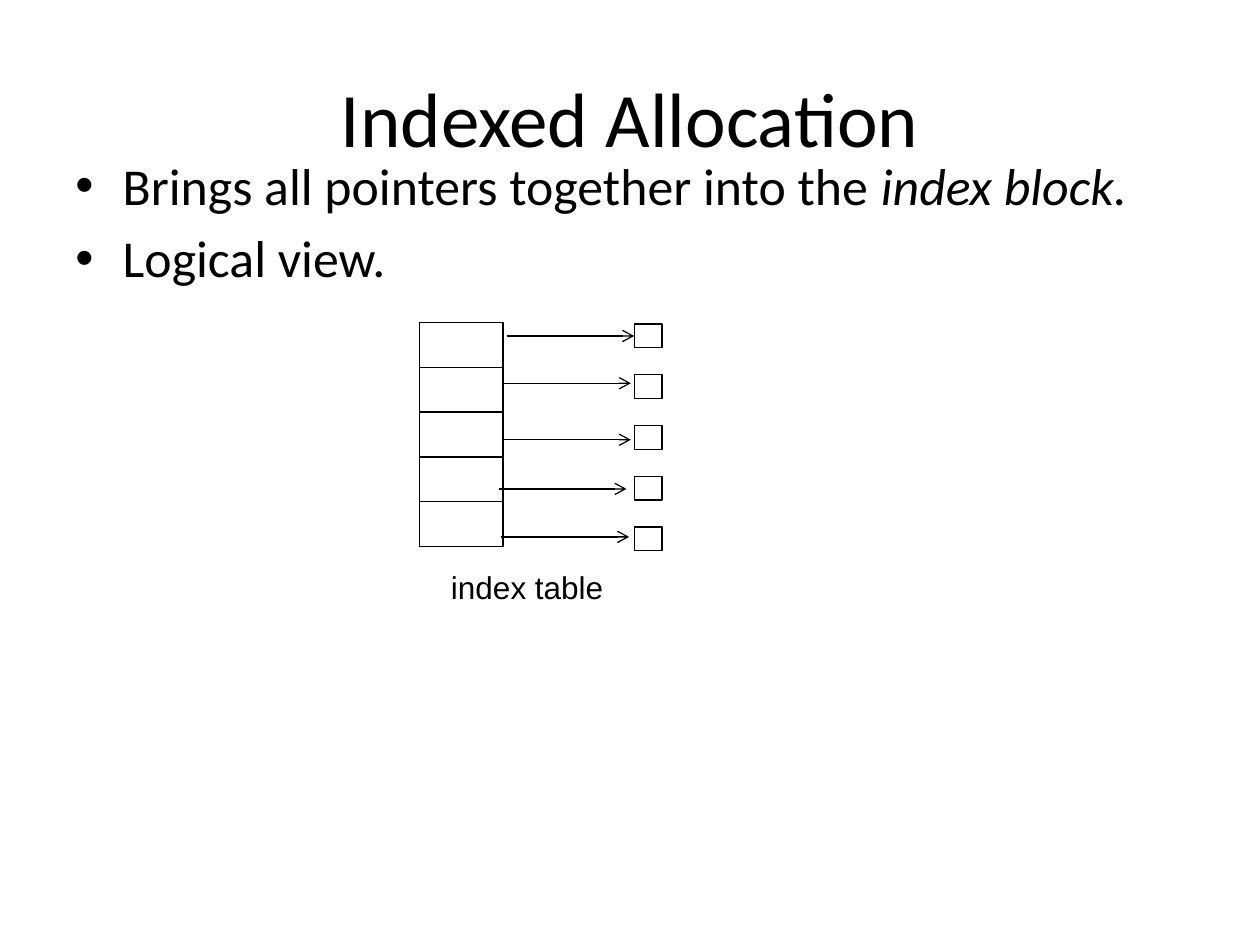
import pptx
import pptx.dml.color
import pptx.enum.shapes
import pptx.enum.text
import pptx.oxml.ns
import pptx.util
from lxml import etree

Pt = pptx.util.Pt
BLACK = pptx.dml.color.RGBColor(0, 0, 0)
WHITE = pptx.dml.color.RGBColor(255, 255, 255)
ANCHOR = pptx.enum.text.MSO_ANCHOR
ALIGN = pptx.enum.text.PP_ALIGN

ROWS = 5
LINE_WIDTH = 0.75
ARROW_LENGTH = 73
ARROW_STARTS = [(289.5, 192), (287.5, 219), (287.5, 251.3), (285, 279.4), (286.5, 306.8)]


def add_child(parent, tag, **attributes):
    return etree.SubElement(parent, pptx.oxml.ns.qn(tag), attributes)


def add_text(slide, box, paragraphs, size, font="Calibri", align=ALIGN.LEFT,
             anchor=ANCHOR.TOP, wrap=True, bullet=False, space_before=0):
    """Add a text box; each paragraph is a list of (text, italic) runs."""
    shape = slide.shapes.add_textbox(*map(Pt, box))
    frame = shape.text_frame
    frame.word_wrap = wrap
    frame.vertical_anchor = anchor
    for index, runs in enumerate(paragraphs):
        paragraph = frame.add_paragraph() if index else frame.paragraphs[0]
        paragraph.alignment = align
        if index:
            paragraph.space_before = Pt(space_before)
        if bullet:
            properties = paragraph._p.get_or_add_pPr()
            properties.set("marL", str(Pt(27)))
            properties.set("indent", str(Pt(-27)))
            add_child(properties, "a:buFont", typeface="Arial")
            add_child(properties, "a:buChar", char="•")
        for text, italic in runs:
            run = paragraph.add_run()
            run.text = text
            run.font.name = font
            run.font.size = Pt(size)
            run.font.italic = italic
            run.font.color.rgb = BLACK


def add_column(slide, left, top, width, height, pitch):
    """Stack equal rectangles downwards and return them."""
    rectangles = []
    for row in range(ROWS):
        shape = slide.shapes.add_shape(
            pptx.enum.shapes.MSO_SHAPE.RECTANGLE,
            Pt(left), Pt(top + row * pitch), Pt(width), Pt(height))
        shape.shadow.inherit = False
        shape.fill.solid()
        shape.fill.fore_color.rgb = WHITE
        shape.line.color.rgb = BLACK
        shape.line.width = Pt(LINE_WIDTH)
        rectangles.append(shape)
    return rectangles


def add_arrow(slide, left, top):
    arrow = slide.shapes.add_connector(
        pptx.enum.shapes.MSO_CONNECTOR.STRAIGHT,
        Pt(left), Pt(top), Pt(left + ARROW_LENGTH), Pt(top))
    arrow.line.color.rgb = BLACK
    arrow.line.width = Pt(LINE_WIDTH)
    add_child(arrow.line._get_or_add_ln(), "a:tailEnd", type="arrow")
    add_child(arrow._element.spPr, "a:effectLst")
    return arrow


def main():
    presentation = pptx.Presentation()
    presentation.slide_width = Pt(720)
    presentation.slide_height = Pt(540)
    slide = presentation.slides.add_slide(presentation.slide_layouts[6])

    add_text(slide, (36, 21.6, 648, 90), [[("Indexed Allocation", False)]], 44,
             align=ALIGN.CENTER, anchor=ANCHOR.MIDDLE)
    add_text(slide, (36, 84.2, 660, 85.7),
             [[("Brings all pointers together into the ", False), ("index block.", True)],
              [("Logical view.", False)]],
             29.6, bullet=True, space_before=5.9)

    add_column(slide, 239.8, 184.3, 47.7, 25.6, pitch=25.6)
    blocks = add_column(slide, 362.4, 185.2, 16, 13.6, pitch=29)
    arrows = [add_arrow(slide, left, top) for left, top in ARROW_STARTS]
    arrows[0].end_connect(blocks[0], 1)

    add_text(slide, (250.6, 321.1, 101.5, 28.8), [[("index table", False)]], 18,
             font="Arial", anchor=ANCHOR.MIDDLE, wrap=False)
    presentation.save("out.pptx")


if __name__ == "__main__":
    main()
